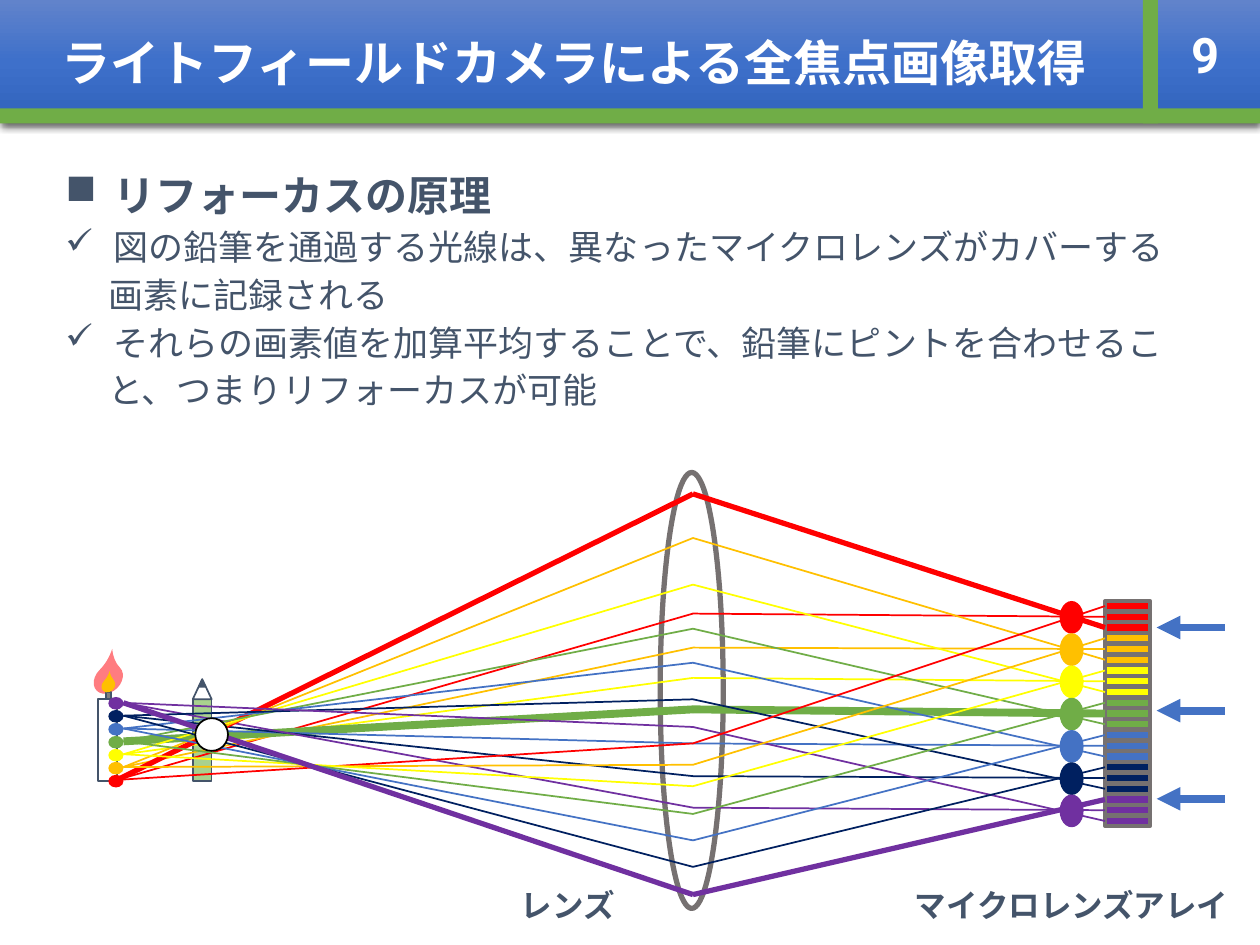
"""Builds a slide on the refocusing principle of a light field camera."""
import dataclasses

import pptx
import pptx.dml.color
import pptx.enum.shapes
import pptx.enum.text
import pptx.oxml
import pptx.oxml.ns
import pptx.util

PX = 9144
SHAPE = pptx.enum.shapes.MSO_SHAPE
ALIGN = pptx.enum.text.PP_ALIGN
ANCHOR = pptx.enum.text.MSO_ANCHOR
NAMESPACE = pptx.oxml.ns.nsdecls("a")


@dataclasses.dataclass(frozen=True)
class Theme:
    font: str = "Roboto"
    ink: str = "44546A"
    white: str = "FFFFFF"
    black: str = "000000"
    green: str = "70AD47"
    blue: str = "4472C4"
    gray: str = "767171"
    wick: str = "808080"
    flame: str = "FF7C80"
    amber: str = "FFC000"
    pencil: str = "A9D18E"
    band: tuple = ("6183CB", "3E70CA", "3062BB")
    title: int = 28
    heading: int = 24
    body: int = 20
    label: int = 18


THEME = Theme()
RAY_COLORS = ("FF0000", THEME.amber, "FFFF00", THEME.green, THEME.blue, "002060", "7030A0")
LENS_HEIGHTS = (
    (392, 427, 464, 499, 526, 555, 577),
    (487, 514, 538, 563, 590, 616, 641),
    (590, 607, 624, 646, 667, 688, 710),
)
TOP, MIDDLE, BOTTOM = range(3)
THICK_RAYS = {(TOP, 0): 3, (MIDDLE, 3): 4.5, (BOTTOM, 6): 3}
LENS_X, DOT_X, SENSOR_X = 550, 92, 877
SENSOR_TOP, CELL_PITCH, CELL_HEIGHT = 477, 8.53, 8

BODY = (
    ("リフォーカスの原理", "■"),
    ("図の鉛筆を通過する光線は、異なったマイクロレンズがカバーする", "✓"),
    ("画素に記録される", None),
    ("それらの画素値を加算平均することで、鉛筆にピントを合わせるこ", "✓"),
    ("と、つまりリフォーカスが可能", None),
)


def px(*lengths):
    return [pptx.util.Emu(round(length * PX)) for length in lengths]


def rgb(code):
    return pptx.dml.color.RGBColor.from_string(code)


def write(para, text, *, size, color=THEME.ink, bold=True, align=ALIGN.LEFT, spacing=None, before=0):
    span = para.add_run()
    span.text = text
    span.font.name = THEME.font
    span.font.size = pptx.util.Pt(size)
    span.font.bold = bold
    span.font.color.rgb = rgb(color)
    para.alignment = align
    para.line_spacing = spacing
    para.space_before = pptx.util.Pt(before)


def add_shape(page, kind, place, fill=None, line=None, weight=1, turn=0):
    shape = page.shapes.add_shape(kind, *px(*place))
    shape.shadow.inherit = False
    shape.rotation = turn
    if fill:
        shape.fill.solid()
        shape.fill.fore_color.rgb = rgb(fill)
    else:
        shape.fill.background()
    if line:
        shape.line.color.rgb = rgb(line)
        shape.line.width = pptx.util.Pt(weight)
    else:
        shape.line.fill.background()
    return shape


def add_line(page, start, end, color, weight=1, arrow=False):
    line = page.shapes.add_connector(pptx.enum.shapes.MSO_CONNECTOR.STRAIGHT, *px(*start, *end))
    line.line.color.rgb = rgb(color)
    line.line.width = pptx.util.Pt(weight)
    if arrow:
        line.line._get_or_add_ln().append(pptx.oxml.parse_xml(f'<a:tailEnd {NAMESPACE} type="triangle"/>'))
    line._element.spPr.append(pptx.oxml.parse_xml(f"<a:effectLst {NAMESPACE}/>"))


def add_text_frame(page, place, anchor=ANCHOR.TOP):
    frame = page.shapes.add_textbox(*px(*place)).text_frame
    frame.word_wrap = True
    frame.vertical_anchor = anchor
    return frame


def add_header(page):
    title = page.shapes.title
    title.left, title.top, title.width, title.height = px(0, 0, 1000, 98)
    stops = "".join(
        f'<a:gs pos="{index * 50000}"><a:srgbClr val="{color}"/></a:gs>'
        for index, color in enumerate(THEME.band)
    )
    for xml in (
        f'<a:gradFill {NAMESPACE}><a:gsLst>{stops}</a:gsLst><a:lin ang="5400000" scaled="0"/></a:gradFill>',
        f'<a:effectLst {NAMESPACE}><a:outerShdw blurRad="57150" dist="19050" dir="5400000" algn="ctr" '
        f'rotWithShape="0"><a:srgbClr val="{THEME.black}"><a:alpha val="63000"/></a:srgbClr>'
        "</a:outerShdw></a:effectLst>",
    ):
        title._element.spPr.append(pptx.oxml.parse_xml(xml))
    frame = title.text_frame
    frame.auto_size = pptx.enum.text.MSO_AUTO_SIZE.NONE
    frame.vertical_anchor = ANCHOR.MIDDLE
    frame.margin_left, = px(49)
    write(frame.paragraphs[0], "ライトフィールドカメラによる全焦点画像取得", size=THEME.title, color=THEME.white)
    add_shape(page, SHAPE.RECTANGLE, (0, 86, 1000, 12), THEME.green)
    add_shape(page, SHAPE.RECTANGLE, (907, 0, 12, 98), THEME.green)
    number = add_text_frame(page, (913, 0, 87, 86), ANCHOR.MIDDLE)
    write(number.paragraphs[0], "9", size=THEME.title, color=THEME.white, align=ALIGN.CENTER)


def add_body(page):
    frame = add_text_frame(page, (42, 137, 915, 386))
    for index, (text, bullet) in enumerate(BODY):
        para = frame.paragraphs[0] if index == 0 else frame.add_paragraph()
        heading = bullet == "■"
        write(para, text, size=THEME.heading if heading else THEME.body, bold=heading, spacing=0.82, before=7.5)
        properties = para._p.get_or_add_pPr()
        margin, = px(38 if bullet else 34)
        properties.set("marL", str(margin))
        properties.set("indent", str(-margin if bullet else 0))
        if bullet:
            properties.append(pptx.oxml.parse_xml(f'<a:buChar {NAMESPACE} char="{bullet}"/>'))


def add_objects(page):
    add_shape(page, SHAPE.RECTANGLE, (153, 555, 15, 65), THEME.pencil, THEME.ink)
    add_shape(page, SHAPE.ISOSCELES_TRIANGLE, (153, 539, 15, 16), THEME.white, THEME.ink)
    add_shape(page, SHAPE.ISOSCELES_TRIANGLE, (158, 540, 5, 5), THEME.ink, THEME.ink)
    add_shape(page, SHAPE.RECTANGLE, (78, 555, 15, 65), THEME.white, THEME.ink)
    flames = (((73, 529, 26, 20), THEME.flame), ((80, 539, 12, 10), THEME.amber))
    outer, inner = [add_shape(page, SHAPE.TEAR, place, color, turn=315) for place, color in flames]
    outer.adjustments[0] = inner.adjustments[0] = 1.476
    wick = add_shape(page, SHAPE.RECTANGLE, (84, 549, 4, 6), THEME.wick, THEME.ink)
    inner._element.addprevious(wick._element)


def add_optics(page):
    for index, color in enumerate(RAY_COLORS):
        for row in range(3 * index, 3 * index + 3):
            cell = (SENSOR_X, SENSOR_TOP + CELL_PITCH * row, 36, CELL_HEIGHT)
            add_shape(page, SHAPE.RECTANGLE, cell, color, THEME.gray, 2.25)
        add_shape(page, SHAPE.OVAL, (841, SENSOR_TOP + 25.6 * index, 19, 26), color)
    add_shape(page, SHAPE.OVAL, (524, 375, 50, 346), line=THEME.gray, weight=3)


def add_rays(page):
    for zone in (MIDDLE, TOP, BOTTOM):
        for index, color in enumerate(RAY_COLORS):
            weight = THICK_RAYS.get((zone, index), 1)
            lens = (LENS_X, LENS_HEIGHTS[zone][index])
            row = 3 * index + BOTTOM - zone
            sensor = (SENSOR_X, SENSOR_TOP + CELL_HEIGHT / 2 + CELL_PITCH * row)
            source = (93 if index == 0 else 98, 619 - 10.2 * index)
            add_line(page, sensor, lens, color, weight)
            add_line(page, lens, source, color, weight)
    for index, color in enumerate(RAY_COLORS):
        add_shape(page, SHAPE.OVAL, (DOT_X - 6, 615 - 10.3 * index, 12, 10), color)


def add_marks(page):
    for left, text in ((291, "レンズ"), (691, "マイクロレンズアレイ")):
        frame = add_text_frame(page, (left, 702, 319, 49))
        write(frame.paragraphs[0], text, size=THEME.label, align=ALIGN.CENTER, spacing=0.9, before=7.5)
    add_shape(page, SHAPE.OVAL, (155, 570, 26, 26), THEME.white, THEME.black)
    for height in (498, 564, 634):
        add_line(page, (972, height), (918, height), THEME.blue, 4.5, arrow=True)


def main():
    deck = pptx.Presentation()
    deck.slide_width, deck.slide_height = px(1000, 750)
    page = deck.slides.add_slide(deck.slide_layouts[5])
    for add_part in (add_header, add_body, add_objects, add_optics, add_rays, add_marks):
        add_part(page)
    deck.save("out.pptx")


if __name__ == "__main__":
    main()
